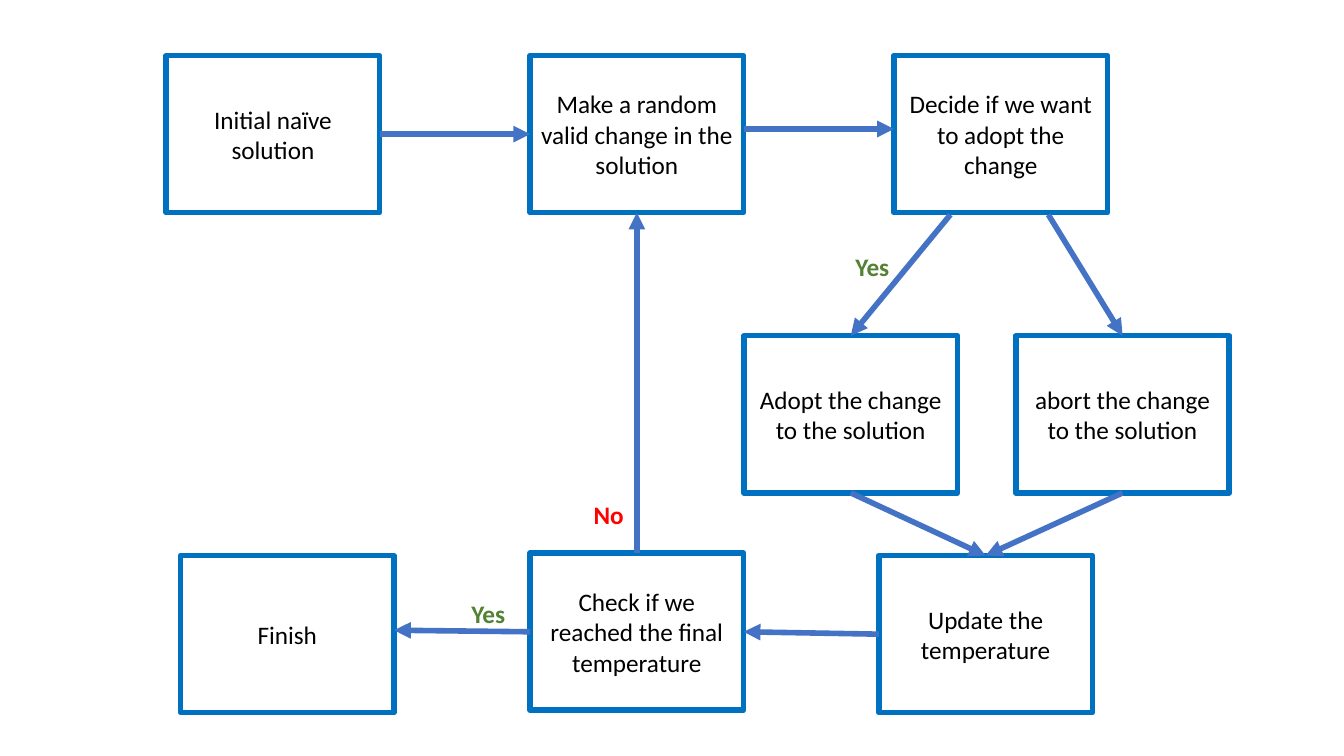
from pptx import Presentation
from pptx.dml.color import RGBColor
from pptx.enum.shapes import MSO_CONNECTOR as CONN, MSO_SHAPE as SHAPE
from pptx.enum.text import MSO_ANCHOR as ANCHOR, PP_ALIGN as ALIGN
from pptx.oxml.ns import qn
from pptx.util import Cm, Pt
from lxml.etree import SubElement

WHITE = RGBColor(0xFF, 0xFF, 0xFF)
BLACK = RGBColor(0x00, 0x00, 0x00)
BORDER = RGBColor(0x00, 0x70, 0xC0)
ARROW = RGBColor(0x44, 0x72, 0xC4)
GREEN = RGBColor(0x54, 0x82, 0x35)
RED = RGBColor(0xFF, 0x00, 0x00)

TOP, LEFT, BOTTOM, RIGHT = range(4)


class Flowchart:
    font = "Calibri"
    size = Pt(18)
    line = Pt(4)
    box_w, box_h = 5.38, 3.96

    def __init__(self, slide):
        self.shapes = slide.shapes

    def set_text(self, sp, text, color, bold=False):
        tf = sp.text_frame
        tf.word_wrap = True
        tf.text = text
        font = tf.paragraphs[0].runs[0].font
        font.name, font.size, font.bold = self.font, self.size, bold
        font.color.rgb = color
        return tf

    def box(self, text, x, y):
        sp = self.shapes.add_shape(SHAPE.RECTANGLE, Cm(x), Cm(y),
                                   Cm(self.box_w), Cm(self.box_h))
        sp.shadow.inherit = False
        sp.fill.solid()
        sp.fill.fore_color.rgb = WHITE
        sp.line.color.rgb = BORDER
        sp.line.width = self.line
        tf = self.set_text(sp, text, BLACK)
        tf.vertical_anchor = ANCHOR.MIDDLE
        tf.paragraphs[0].alignment = ALIGN.CENTER
        return sp

    def label(self, text, x, y, color):
        sp = self.shapes.add_textbox(Cm(x), Cm(y), Cm(1.5), Cm(1.02))
        self.set_text(sp, text, color, bold=True)

    def arrow(self, start, end):
        """Each end is a (box, side) pair or an (x, y) point in cm."""
        points = [(0, 0) if hasattr(e[0], "shape_id") else e for e in (start, end)]
        (x1, y1), (x2, y2) = points
        cxn = self.shapes.add_connector(CONN.STRAIGHT, Cm(x1), Cm(y1), Cm(x2), Cm(y2))
        for e, connect in ((start, cxn.begin_connect), (end, cxn.end_connect)):
            if hasattr(e[0], "shape_id"):
                connect(*e)
        cxn.line.color.rgb = ARROW
        cxn.line.width = self.line
        sp_pr = cxn._element.spPr
        SubElement(sp_pr.find(qn("a:ln")), qn("a:tailEnd"), type="triangle")
        SubElement(sp_pr, qn("a:effectLst"))


def main():
    prs = Presentation()
    prs.slide_width, prs.slide_height = Cm(33.87), Cm(19.05)
    chart = Flowchart(prs.slides.add_slide(prs.slide_layouts[6]))

    # Steps
    initial = chart.box("Initial naïve solution", 4.19, 1.4)
    change = chart.box("Make a random valid change in the solution", 13.36, 1.4)
    chart.box("Decide if we want to adopt the change", 22.53, 1.4)
    adopt = chart.box("Adopt the change to the solution", 18.75, 8.46)
    abort = chart.box("abort the change to the solution", 25.6, 8.46)
    update = chart.box("Update the temperature", 22.15, 14)
    check = chart.box("Check if we reached the final temperature", 13.36, 13.94)
    chart.box("Finish", 4.55, 14)

    # Flow between the steps
    for start, end in (
        ((initial, RIGHT), (change, LEFT)),
        ((18.75, 3.25), (22.53, 3.25)),
        ((23.95, 5.41), (adopt, TOP)),
        ((26.42, 5.41), (abort, TOP)),
        ((adopt, BOTTOM), (update, TOP)),
        ((abort, BOTTOM), (update, TOP)),
        ((update, LEFT), (check, RIGHT)),
        ((check, TOP), (change, BOTTOM)),
        ((check, LEFT), (9.93, 15.88)),
    ):
        chart.arrow(start, end)

    # Answers on the branches
    chart.label("Yes", 21.31, 6.22, GREEN)
    chart.label("No", 14.71, 12.47, RED)
    chart.label("Yes", 11.63, 14.94, GREEN)

    prs.save("out.pptx")


if __name__ == "__main__":
    main()
